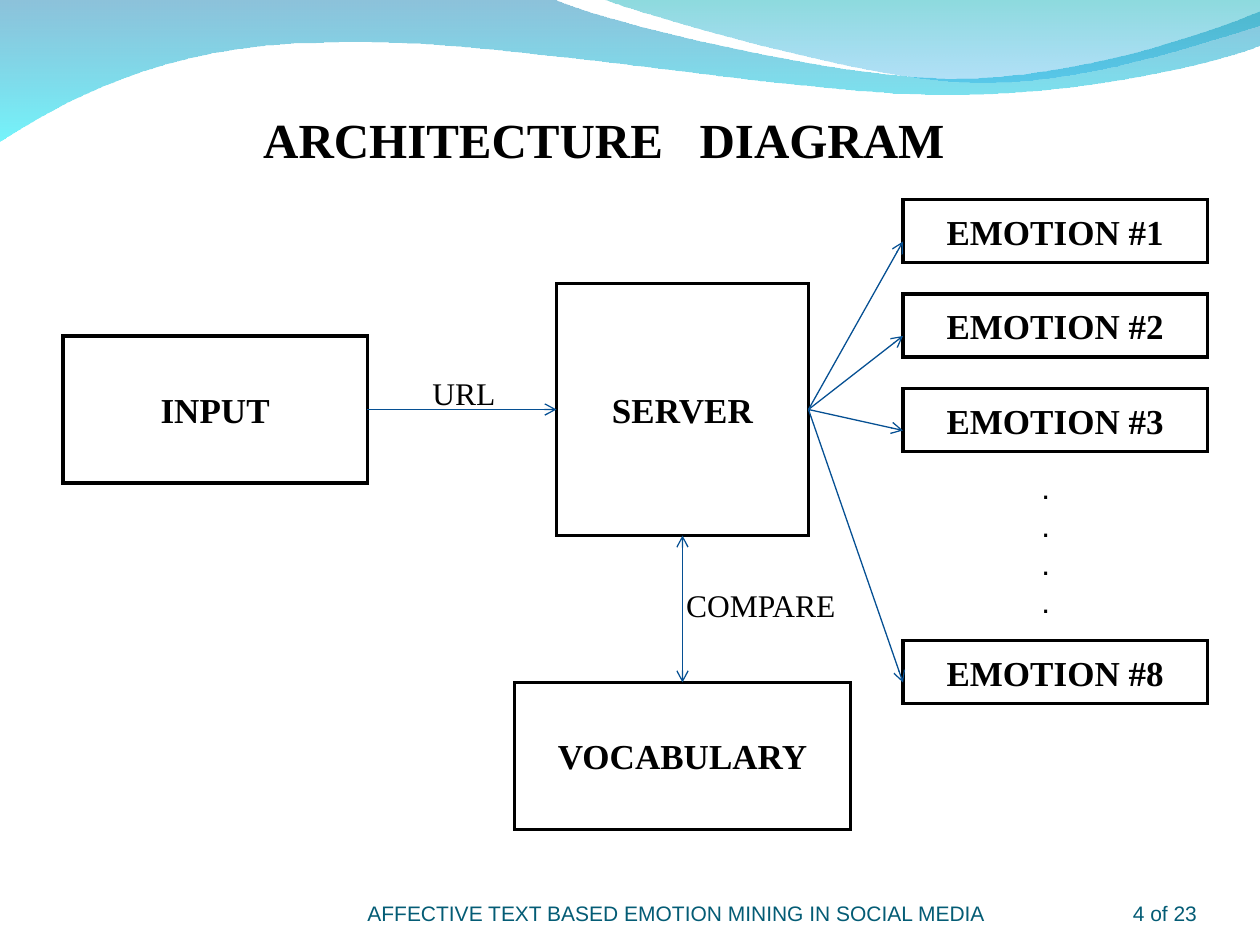
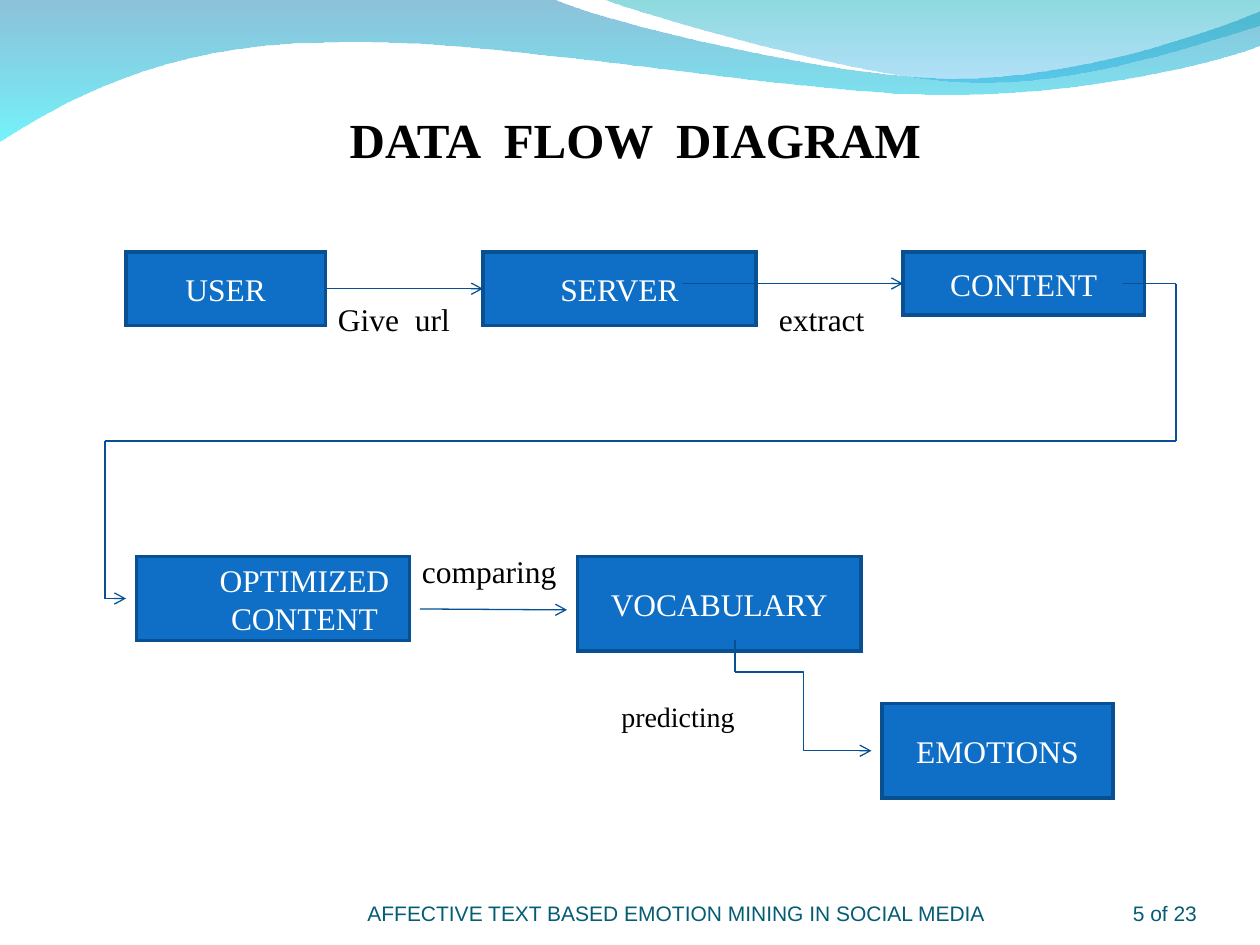
from dataclasses import dataclass
from itertools import pairwise

from lxml import etree
from pptx import Presentation
from pptx.dml.color import RGBColor
from pptx.enum.shapes import MSO_CONNECTOR, MSO_SHAPE
from pptx.enum.text import MSO_ANCHOR, MSO_AUTO_SIZE, PP_ALIGN
from pptx.oxml.ns import qn
from pptx.util import Pt

RECTANGLE = MSO_SHAPE.RECTANGLE
STRAIGHT, ELBOW = MSO_CONNECTOR.STRAIGHT, MSO_CONNECTOR.ELBOW
MIDDLE, BOTTOM = MSO_ANCHOR.MIDDLE, MSO_ANCHOR.BOTTOM
LEFT, CENTER, RIGHT = PP_ALIGN.LEFT, PP_ALIGN.CENTER, PP_ALIGN.RIGHT
GROW = MSO_AUTO_SIZE.SHAPE_TO_FIT_TEXT
TOP_SIDE, LEFT_SIDE, BOTTOM_SIDE, RIGHT_SIDE = range(4)


@dataclass(frozen=True)
class TextStyle:
    """Font, size, colour and weight of a run."""
    size: float
    color: str = "000000"
    font: str = "Times New Roman"
    bold: bool = False


@dataclass(frozen=True)
class NodeStyle:
    """Fill, border and text of a diagram node."""
    fill: str
    border: str
    text: TextStyle


@dataclass(frozen=True)
class Theme:
    """Colours and type sizes of the whole deck."""
    title: TextStyle = TextStyle(28, bold=True)
    label: TextStyle = TextStyle(18)
    small_label: TextStyle = TextStyle(16)
    dots: TextStyle = TextStyle(18, font="Arial")
    footer: TextStyle = TextStyle(12, "045C75", "Arial")
    outlined: NodeStyle = NodeStyle("FFFFFF", "000000", TextStyle(20, bold=True))
    solid: NodeStyle = NodeStyle("0F6FC6", "085091", TextStyle(18, "FFFFFF"))
    arrow: str = "065093"
    back_wave: tuple = (("0079AF", 45), ("00EBF8", 55))
    front_wave: tuple = (("00ADB6", 45), ("009BE5", 30))


@dataclass(frozen=True)
class Box:
    """A region of the slide in points."""
    left: float
    top: float
    width: float
    height: float

    def inner(self, x, y, width, height):
        """Return a box offset from this one."""
        return Box(self.left + x, self.top + y, width, height)

    def point(self, x, y):
        """Return a point offset from the top left corner."""
        return self.left + x, self.top + y

    def lengths(self):
        """Return left, top, width and height as lengths."""
        return [Pt(v) for v in (self.left, self.top, self.width, self.height)]


THEME = Theme()
FOOTER = "AFFECTIVE TEXT BASED EMOTION MINING IN SOCIAL MEDIA"
PAGE_COUNT = 23
BACK_WAVE = [(0, 0), (317, 0), (343, 12, 478, 45, 546, 45), (614, 45, 690, 19, 720, 6.5),
             (720, 26), (708, 32, 626, 55, 537, 54), (448, 54, 275, 20, 185, 24.5),
             (92, 25, 33, 60, 0, 81)]
FRONT_WAVE = [(0, 0), (21.5, 8, 146, 45, 209, 47), (271, 50, 347, 23, 375, 15), (375, 0)]


def add_text(paragraph, text, style, align=LEFT, gap=0):
    """Add text as runs, widening each space by gap points."""
    paragraph.alignment = align
    pieces = text.replace(" ", "| |").split("|") if gap else [text]
    for piece in pieces:
        run = paragraph.add_run()
        run.text = piece
        run.font.name, run.font.size, run.font.bold = style.font, Pt(style.size), style.bold
        run.font.color.rgb = RGBColor.from_string(style.color)
        if piece == " ":
            run._r.get_or_add_rPr().set("spc", str(round(gap * 100)))


def add_label(slide, box, lines, style=THEME.label, wrap=True, gap=0):
    """Add a text box that grows with its lines."""
    frame = slide.shapes.add_textbox(*box.lengths()).text_frame
    frame.word_wrap, frame.auto_size = wrap, GROW
    for number, line in enumerate(lines):
        paragraph = frame.add_paragraph() if number else frame.paragraphs[0]
        add_text(paragraph, line, style, gap=gap)


def add_node(slide, box, text, style, indent=0):
    """Add a bordered rectangle with centred text."""
    node = slide.shapes.add_shape(RECTANGLE, *box.lengths())
    node.shadow.inherit = False
    node.fill.solid()
    node.fill.fore_color.rgb = RGBColor.from_string(style.fill)
    node.line.color.rgb = RGBColor.from_string(style.border)
    node.line.width = Pt(2)
    etree.SubElement(node.element.spPr.find(qn("a:ln")), qn("a:miter"), lim="800000")
    node.text_frame.word_wrap = True
    node.text_frame.vertical_anchor = MIDDLE
    paragraph = node.text_frame.paragraphs[0]
    if indent:
        paragraph._p.get_or_add_pPr().set("marL", str(Pt(indent)))
    add_text(paragraph, text, style.text, CENTER)
    return node


def add_link(slide, start, end, source=None, target=None, ends=("tailEnd",), kind=STRAIGHT):
    """Draw a connector, joined to (node, side) pairs where given."""
    link = slide.shapes.add_connector(kind, *[Pt(v) for v in (*start, *end)])
    if source:
        link.begin_connect(*source)
    if target:
        link.end_connect(*target)
    link.line.color.rgb = RGBColor.from_string(THEME.arrow)
    link.line.width = Pt(0.75)
    properties = link.element.spPr
    for name in ends:
        etree.SubElement(properties.find(qn("a:ln")), qn(f"a:{name}"), type="arrow")
    etree.SubElement(properties, qn("a:effectLst"))


def bend_segments(wave, segments):
    """Turn the line segments that have control points into cubic curves."""
    for line, segment in zip(wave.element.xpath(".//a:lnTo"), segments):
        if len(segment) == 6:
            line.clear()
            line.tag = qn("a:cubicBezTo")
            for x, y in zip(segment[::2], segment[1::2]):
                etree.SubElement(line, qn("a:pt"), x=str(Pt(x)), y=str(Pt(y)))


def add_wave(slide, box, outline, stops):
    """Draw a wave with a vertical translucent gradient."""
    corners = [tuple(Pt(v) for v in box.point(*segment[-2:])) for segment in outline]
    builder = slide.shapes.build_freeform(*corners[0], scale=1.0)
    builder.add_line_segments(corners[1:], close=True)
    wave = builder.convert_to_shape()
    bend_segments(wave, outline[1:])
    wave.shadow.inherit = False
    wave.line.fill.background()
    wave.fill.gradient()
    wave.fill.gradient_angle = 270
    for position, (stop, (color, _)) in enumerate(zip(wave.fill.gradient_stops, stops)):
        stop.position = position
        stop.color.rgb = RGBColor.from_string(color)
    for color, (_, opacity) in zip(wave.element.xpath(".//a:gs/a:srgbClr"), stops):
        etree.SubElement(color, qn("a:alpha"), val=str(opacity * 1000))
    return wave


def put_waves_on_master(master, slide, box):
    """Draw both waves and move them behind everything on the master."""
    waves = ((0, BACK_WAVE, THEME.back_wave), (345, FRONT_WAVE, THEME.front_wave))
    for order, (x, outline, stops) in enumerate(waves):
        wave = add_wave(slide, box.inner(x, 0, box.width - x, box.height), outline, stops)
        wave.element.nvSpPr.cNvPr.set("id", str(100 + order))
        master.shapes.element.insert(2 + order, wave.element)


def set_title(slide, box, text, gap):
    """Move and fill the title placeholder."""
    title = slide.shapes.title
    title.left, title.top, title.width, title.height = box.lengths()
    frame = title.text_frame
    frame.margin_left = frame.margin_right = frame.margin_bottom = 0
    frame.margin_top = Pt(3.6)
    frame.vertical_anchor = BOTTOM
    add_text(frame.paragraphs[0], text, THEME.title, CENTER, gap)


def add_footer(slide, box, page):
    """Add the project name and the page count."""
    parts = ((0, 360, FOOTER, LEFT), (414, 60, f"{page} of {PAGE_COUNT}", RIGHT))
    for x, width, text, align in parts:
        frame = slide.shapes.add_textbox(*box.inner(x, 0, width, box.height).lengths()).text_frame
        frame.margin_left = frame.margin_right = frame.margin_top = frame.margin_bottom = 0
        frame.word_wrap = True
        frame.vertical_anchor = BOTTOM
        add_text(frame.paragraphs[0], text, THEME.footer, align)


def add_emotions(slide, box, server, server_exit):
    """Stack the emotion nodes and fan arrows out to them."""
    pitch, height, entry = 54, 36, 24
    tops = {1: 0, 2: pitch, 3: 2 * pitch, 8: box.height - height}
    for number, top in tops.items():
        add_node(slide, box.inner(0, top, box.width, height), f"EMOTION #{number}", THEME.outlined)
    for top in tops.values():
        add_link(slide, server_exit, box.point(0, top + entry), (server, RIGHT_SIDE))
    add_label(slide, box.inner(72, 150, 19, 115), ["."] * 4, THEME.dots, wrap=False)


def add_architecture(slide, box):
    """Draw input, server, vocabulary and emotions."""
    source = add_node(slide, box.inner(0, 78, 174, 84), "INPUT", THEME.outlined)
    server = add_node(slide, box.inner(282, 48, 144, 144), "SERVER", THEME.outlined)
    vocabulary = add_node(slide, box.inner(258, 276, 192, 84), "VOCABULARY", THEME.outlined)
    add_link(slide, box.point(174, 120), box.point(282, 120),
             (source, RIGHT_SIDE), (server, LEFT_SIDE))
    add_link(slide, box.point(354, 276), box.point(354, 192), (vocabulary, TOP_SIDE),
             (server, BOTTOM_SIDE), ("headEnd", "tailEnd"))
    add_label(slide, box.inner(204, 96, 52, 29), ["URL"], wrap=False)
    add_label(slide, box.inner(349, 217.5, 102, 29), ["COMPARE"], wrap=False)
    add_emotions(slide, box.inner(480, 0, 174, 288), server, box.point(426, 120))


def add_data_flow(slide, box):
    """Draw the flow from user to emotions over two rows."""
    lower = 174
    user = add_node(slide, box.inner(12, 0, 114, 42), "USER", THEME.solid)
    server = add_node(slide, box.inner(216, 0, 156, 42), "SERVER", THEME.solid)
    content = add_node(slide, box.inner(456, 0, 138, 36), "CONTENT", THEME.solid)
    add_node(slide, box.inner(18, lower, 156, 48), "OPTIMIZED CONTENT", THEME.solid, indent=36)
    add_node(slide, box.inner(270, lower, 162, 54), "VOCABULARY", THEME.solid)
    add_node(slide, box.inner(444, 258, 132, 54), "EMOTIONS", THEME.solid)

    add_link(slide, box.point(126, 21), box.point(216, 21),
             (user, RIGHT_SIDE), (server, LEFT_SIDE))
    add_link(slide, box.point(330, 18), box.point(456, 18), target=(content, LEFT_SIDE))
    add_link(slide, box.point(180, 204), box.point(264, 204.5))
    add_link(slide, box.point(360, 240), box.point(438, 285), kind=ELBOW)
    add_link(slide, box.point(360, 222), box.point(360, 240), ends=())
    route = [(582, 18), (box.width, 18), (box.width, 108), (0, 108), (0, 198), (12, 198)]
    for start, end in pairwise(route):
        ends = ("tailEnd",) if end == route[-1] else ()
        add_link(slide, box.point(*start), box.point(*end), ends=ends)

    add_label(slide, box.inner(288, 252, 102, 27), ["predicting"], THEME.small_label)
    add_label(slide, box.inner(174, 168, 102, 29), ["comparing"])
    add_label(slide, box.inner(126, 24, 120, 29), ["Give url"], gap=4.5)
    add_label(slide, box.inner(378, 24, 78, 29), ["extract"])


def main():
    """Build both slides and save the deck."""
    deck = Presentation()
    deck.slide_width, deck.slide_height = Pt(720), Pt(540)
    pages = (
        ("ARCHITECTURE DIAGRAM", 14, 24, add_architecture, Box(36, 114, 654, 360)),
        ("DATA FLOW DIAGRAM", 6, 42, add_data_flow, Box(60, 144, 612, 312)),
    )
    for page, (title, gap, title_left, add_diagram, box) in enumerate(pages, start=4):
        slide = deck.slides.add_slide(deck.slide_layouts[5])
        set_title(slide, Box(title_left, 18, 642, 78), title, gap)
        add_diagram(slide, box)
        add_footer(slide, Box(210, 500, 474, 29), page)
    put_waves_on_master(deck.slide_master, deck.slides[0], Box(0, 0, 720, 81))
    deck.save("out.pptx")


if __name__ == "__main__":
    main()
